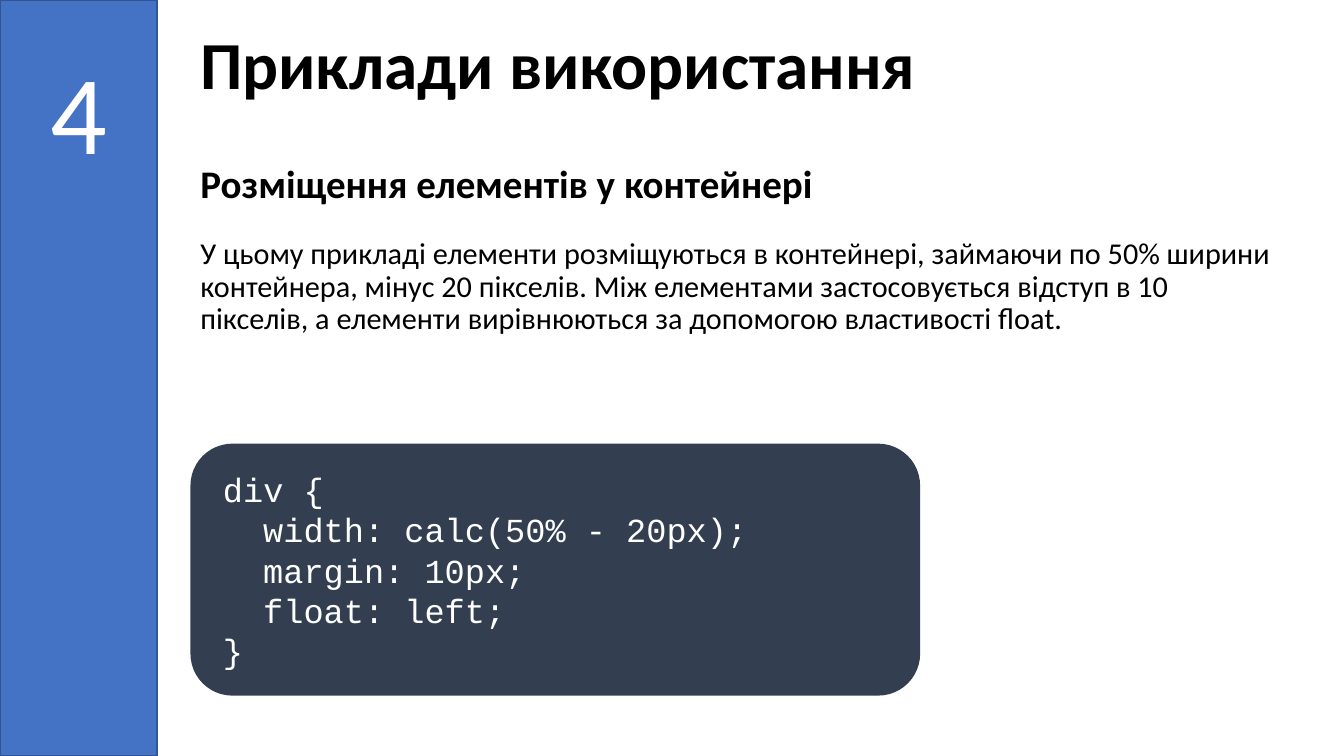
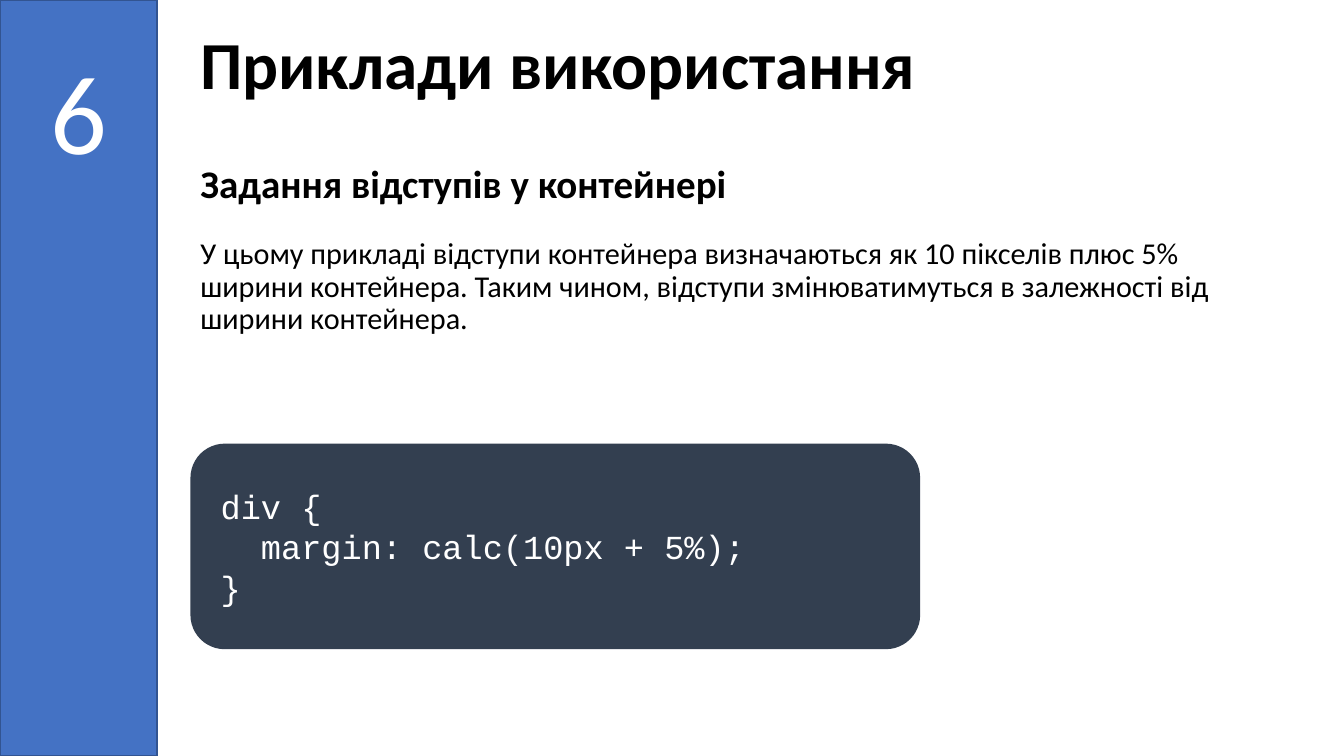
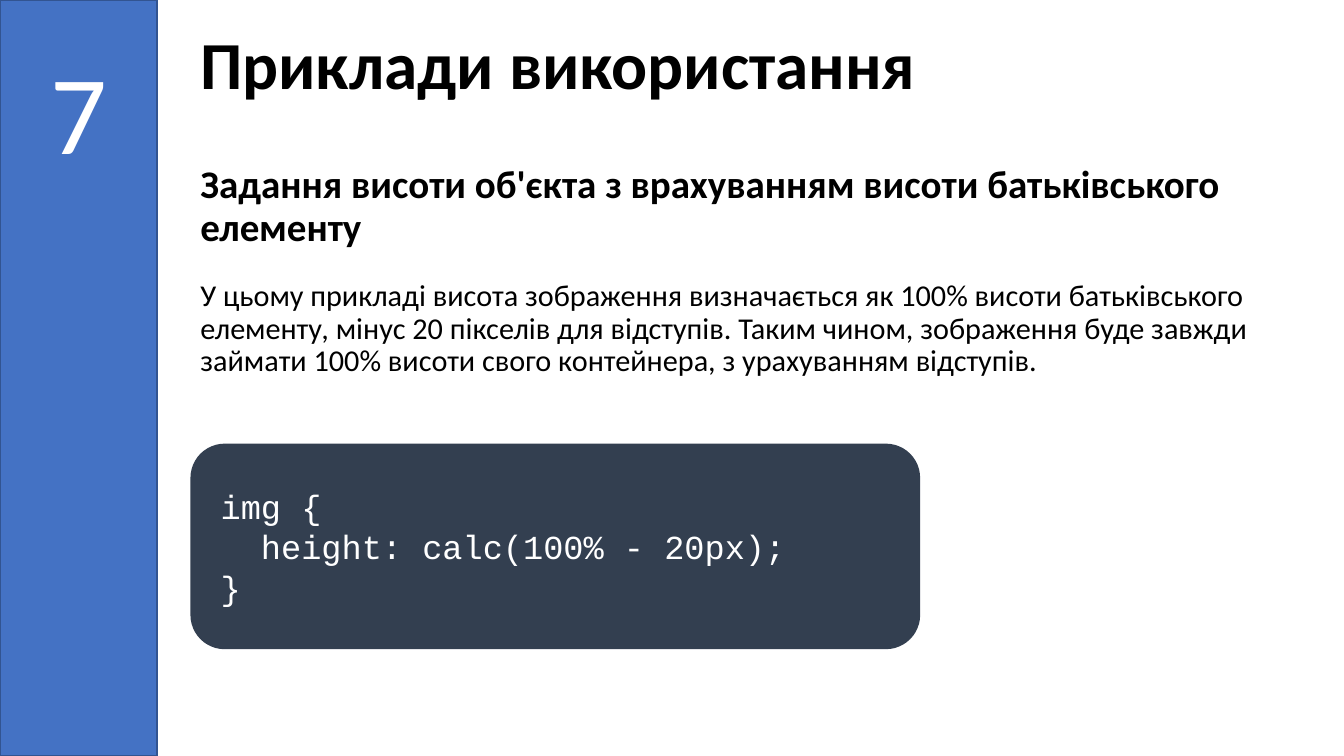
from pptx import Presentation
from pptx.dml.color import RGBColor
from pptx.enum.shapes import MSO_SHAPE
from pptx.enum.text import MSO_ANCHOR, PP_ALIGN
from pptx.util import Cm, Pt

RECT, ROUNDED = MSO_SHAPE.RECTANGLE, MSO_SHAPE.ROUNDED_RECTANGLE
LEFT, CENTER = PP_ALIGN.LEFT, PP_ALIGN.CENTER
TOP, MIDDLE = MSO_ANCHOR.TOP, MSO_ANCHOR.MIDDLE

BLUE = RGBColor(0x44, 0x72, 0xC4)
BLUE_EDGE = RGBColor(0x32, 0x54, 0x91)
SLATE = RGBColor(0x33, 0x3F, 0x50)
BLACK = RGBColor(0, 0, 0)
WHITE = RGBColor(0xFF, 0xFF, 0xFF)

SLIDE_W, SLIDE_H = 33.87, 19.05
BAND_W = 3.96
CONTENT_X, CONTENT_W = 4.8, 27.58
CODE_INDENT = Pt(28.8)

EXAMPLES = [
    ("4", "Розміщення елементів у контейнері",
     "У цьому прикладі елементи розміщуються в контейнері, займаючи по 50% "
     "ширини контейнера, мінус 20 пікселів. Між елементами застосовується "
     "відступ в 10 пікселів, а елементи вирівнюються за допомогою "
     "властивості float.",
     5.13, "div {",
     ["width: calc(50% - 20px);", "margin: 10px;", "float: left;"], 6.35),
    ("6", "Задання відступів у контейнері",
     "У цьому прикладі відступи контейнера визначаються як 10 пікселів плюс "
     "5% ширини контейнера. Таким чином, відступи змінюватимуться в "
     "залежності від ширини контейнера.",
     5.89, "div {", ["margin: calc(10px + 5%);"], 5.18),
    ("7", "Задання висоти об'єкта з врахуванням висоти батьківського елементу",
     "У цьому прикладі висота зображення визначається як 100% висоти "
     "батьківського елементу, мінус 20 пікселів для відступів. Таким чином, "
     "зображення буде завжди займати 100% висоти свого контейнера, з "
     "урахуванням відступів.",
     5.89, "img {", ["height: calc(100% - 20px);"], 5.18),
]


class Deck:
    """Holds the presentation style and the current slide."""

    def __init__(self):
        self.prs = Presentation()
        self.prs.slide_width, self.prs.slide_height = Cm(SLIDE_W), Cm(SLIDE_H)
        self.s = None

    def new_slide(self):
        self.s = self.prs.slides.add_slide(self.prs.slide_layouts[6])

    def shape(self, kind, x, y, w, h, fill, line=None):
        sp = self.s.shapes.add_shape(kind, Cm(x), Cm(y), Cm(w), Cm(h))
        sp.shadow.inherit = False
        sp.fill.solid()
        sp.fill.fore_color.rgb = fill
        if line is None:
            sp.line.fill.background()
        else:
            sp.line.color.rgb = line
            sp.line.width = Pt(1)
        return sp

    def text_box(self, x, y, w, h, wrap=True):
        tf = self.s.shapes.add_textbox(Cm(x), Cm(y), Cm(w), Cm(h)).text_frame
        tf.word_wrap = wrap
        tf.vertical_anchor = TOP
        return tf

    def paragraph(self, tf, text, size, color=BLACK, bold=False,
                  font="Calibri", align=LEFT, spacing=None):
        p = tf.add_paragraph() if tf.text else tf.paragraphs[0]
        p.text = text
        p.alignment = align
        p.line_spacing = spacing
        p.font.name = font
        p.font.size = Pt(size)
        p.font.bold = bold
        p.font.color.rgb = color
        return p

    def band(self, number):
        self.shape(RECT, 0, 0, BAND_W, SLIDE_H, BLUE, BLUE_EDGE)
        tf = self.text_box(BAND_W / 4, 0.94, BAND_W / 2, 3.68, wrap=False)
        self.paragraph(tf, number, 80, WHITE, align=CENTER)

    def title(self, text):
        tf = self.text_box(CONTENT_X, 0.66, CONTENT_W, 3.38)
        self.paragraph(tf, text, 48, bold=True, spacing=0.9)

    def description(self, heading, body, h):
        tf = self.text_box(CONTENT_X, 4.04, CONTENT_W, h)
        self.paragraph(tf, heading, 27.9, bold=True, spacing=0.9)
        p = self.paragraph(tf, body, 21.6, spacing=0.9)
        p.space_before = Pt(22)

    def code(self, opening, rules, h):
        tf = self.shape(ROUNDED, CONTENT_X, 11.18, 18.39, h, SLATE).text_frame
        tf.word_wrap = True
        tf.vertical_anchor = MIDDLE
        tf.margin_left = tf.margin_right = Cm(0.51)
        tf.margin_top = tf.margin_bottom = Cm(0.51)
        for line in [opening, *rules, "}"]:
            p = self.paragraph(tf, line, 24, WHITE, font="Courier New")
            if line in rules:
                p._p.get_or_add_pPr().set("marL", str(CODE_INDENT))


def main():
    deck = Deck()
    for number, heading, body, body_h, opening, rules, code_h in EXAMPLES:
        deck.new_slide()
        deck.band(number)
        deck.title("Приклади використання")
        deck.description(heading, body, body_h)
        deck.code(opening, rules, code_h)
    deck.prs.save("out.pptx")


if __name__ == "__main__":
    main()
